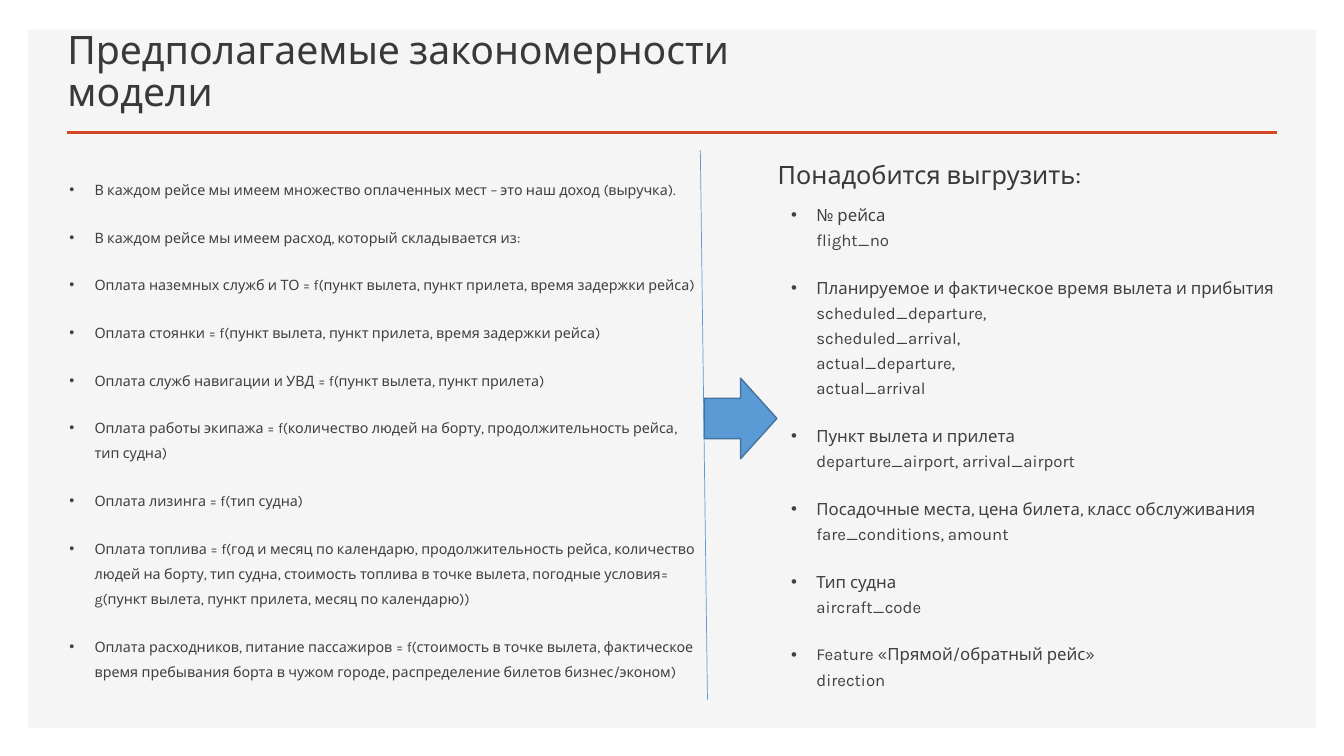
from dataclasses import dataclass

from lxml import etree
from pptx import Presentation
from pptx.dml.color import RGBColor
from pptx.enum.shapes import MSO_CONNECTOR, MSO_SHAPE
from pptx.enum.text import MSO_ANCHOR
from pptx.oxml.ns import qn
from pptx.util import Cm, Pt

RECTANGLE, RIGHT_ARROW = MSO_SHAPE.RECTANGLE, MSO_SHAPE.RIGHT_ARROW
STRAIGHT = MSO_CONNECTOR.STRAIGHT
TOP, BOTTOM = MSO_ANCHOR.TOP, MSO_ANCHOR.BOTTOM


@dataclass(frozen=True)
class Theme:
    """Font, colours and type sizes of the slide."""
    font: str = "Karla"
    panel: str = "F5F5F5"
    rule: str = "D24726"
    heading: str = "3B3838"
    body: str = "404040"
    accent: str = "5B9BD5"
    accent_edge: str = "43739E"
    title_size: float = 28
    subtitle_size: float = 18
    data_size: float = 12
    pattern_size: float = 10.2


THEME = Theme()
HEADING_FORMAT = {"line_spacing": 0.9}
BULLET_FORMAT = {"line_spacing": Pt(18), "space_before": Pt(10), "space_after": Pt(6)}

PATTERNS = [
    "В каждом рейсе мы имеем множество оплаченных мест – это наш доход (выручка).",
    "В каждом рейсе мы имеем расход, который складывается из:",
    "Оплата наземных служб и ТО = f(пункт вылета, пункт прилета, время задержки рейса)",
    "Оплата стоянки = f(пункт вылета, пункт прилета, время задержки рейса)",
    "Оплата служб навигации и УВД = f(пункт вылета, пункт прилета)",
    "Оплата работы экипажа = f(количество людей на борту, продолжительность рейса, "
    "тип судна)",
    "Оплата лизинга = f(тип судна)",
    "Оплата топлива = f(год и месяц по календарю, продолжительность рейса, количество "
    "людей на борту, тип судна, стоимость топлива в точке вылета, погодные условия= "
    "g(пункт вылета, пункт прилета, месяц по календарю))",
    "Оплата расходников, питание пассажиров = f(стоимость в точке вылета, фактическое "
    "время пребывания борта в чужом городе, распределение билетов бизнес/эконом)",
]
DATA_FIELDS = [
    "№ рейса\nflight_no",
    "Планируемое и фактическое время вылета и прибытия scheduled_departure,\n"
    "scheduled_arrival,\nactual_departure,\nactual_arrival",
    "Пункт вылета и прилета\ndeparture_airport, arrival_airport",
    "Посадочные места, цена билета, класс обслуживания\nfare_conditions, amount",
    "Тип судна\naircraft_code",
    "Feature «Прямой/обратный рейс»\ndirection",
]


def set_format(target, values):
    """Set every attribute named in values on target."""
    for name, value in values.items():
        setattr(target, name, value)


def add_bullet(p):
    """Give a paragraph a round bullet with a hanging indent."""
    p_pr = p._p.get_or_add_pPr()
    p_pr.set("marL", str(Cm(0.635)))
    p_pr.set("indent", str(-Cm(0.635)))
    etree.SubElement(p_pr, qn("a:buFont")).set("typeface", "Arial")
    etree.SubElement(p_pr, qn("a:buChar")).set("char", "•")


def add_text(s, box, texts, size, color, layout, anchor=TOP, bulleted=False):
    """Add a wrapped text box with one paragraph per text."""
    tf = s.shapes.add_textbox(*map(Cm, box)).text_frame
    set_format(tf, {"word_wrap": True, "vertical_anchor": anchor})
    for i, text in enumerate(texts):
        p = tf.add_paragraph() if i else tf.paragraphs[0]
        p.text = text
        set_format(p, layout)
        if bulleted:
            add_bullet(p)
        for r in p.runs:
            set_format(r.font, {"name": THEME.font, "size": Pt(size)})
            r.font.color.rgb = RGBColor.from_string(color)


def add_block(s, kind, box, fill, edge=None):
    """Add a filled preset shape, outlined when an edge colour is given."""
    sp = s.shapes.add_shape(kind, *map(Cm, box))
    sp.shadow.inherit = False
    sp.fill.solid()
    sp.fill.fore_color.rgb = RGBColor.from_string(fill)
    if edge:
        sp.line.color.rgb = RGBColor.from_string(edge)
        sp.line.width = Pt(1)
    else:
        sp.line.fill.background()


def add_line(s, ends, color, width):
    """Add a straight line without a shadow."""
    line = s.shapes.add_connector(STRAIGHT, *map(Cm, ends))
    line.line.color.rgb = RGBColor.from_string(color)
    line.line.width = Pt(width)
    etree.SubElement(line._element.spPr, qn("a:effectLst"))


def main():
    """Build the slide and save it."""
    prs = Presentation()
    set_format(prs, {"slide_width": Cm(33.87), "slide_height": Cm(19.05)})
    s = prs.slides.add_slide(prs.slide_layouts[6])

    add_block(s, RECTANGLE, (0.71, 0.74, 32.46, 17.6), THEME.panel)
    add_line(s, (1.68, 3.33, 32.18, 3.33), THEME.rule, 2)
    add_text(s, (1.45, 1.24, 19.1, 1.78), ["Предполагаемые закономерности модели"],
             THEME.title_size, THEME.heading, HEADING_FORMAT, BOTTOM)

    add_text(s, (1.5, 4.24, 16.33, 13.56), PATTERNS,
             THEME.pattern_size, THEME.body, BULLET_FORMAT, bulleted=True)
    add_line(s, (17.65, 3.78, 17.83, 17.63), THEME.accent, 0.5)
    add_block(s, RIGHT_ARROW, (17.75, 9.53, 1.83, 2.03), THEME.accent, THEME.accent_edge)

    add_text(s, (19.69, 4.9, 13.21, 12.73), DATA_FIELDS,
             THEME.data_size, THEME.body, BULLET_FORMAT, bulleted=True)
    add_text(s, (19.35, 3.78, 19.1, 1.12), ["Понадобится выгрузить:"],
             THEME.subtitle_size, THEME.heading, HEADING_FORMAT, BOTTOM)

    prs.save("out.pptx")


if __name__ == "__main__":
    main()
